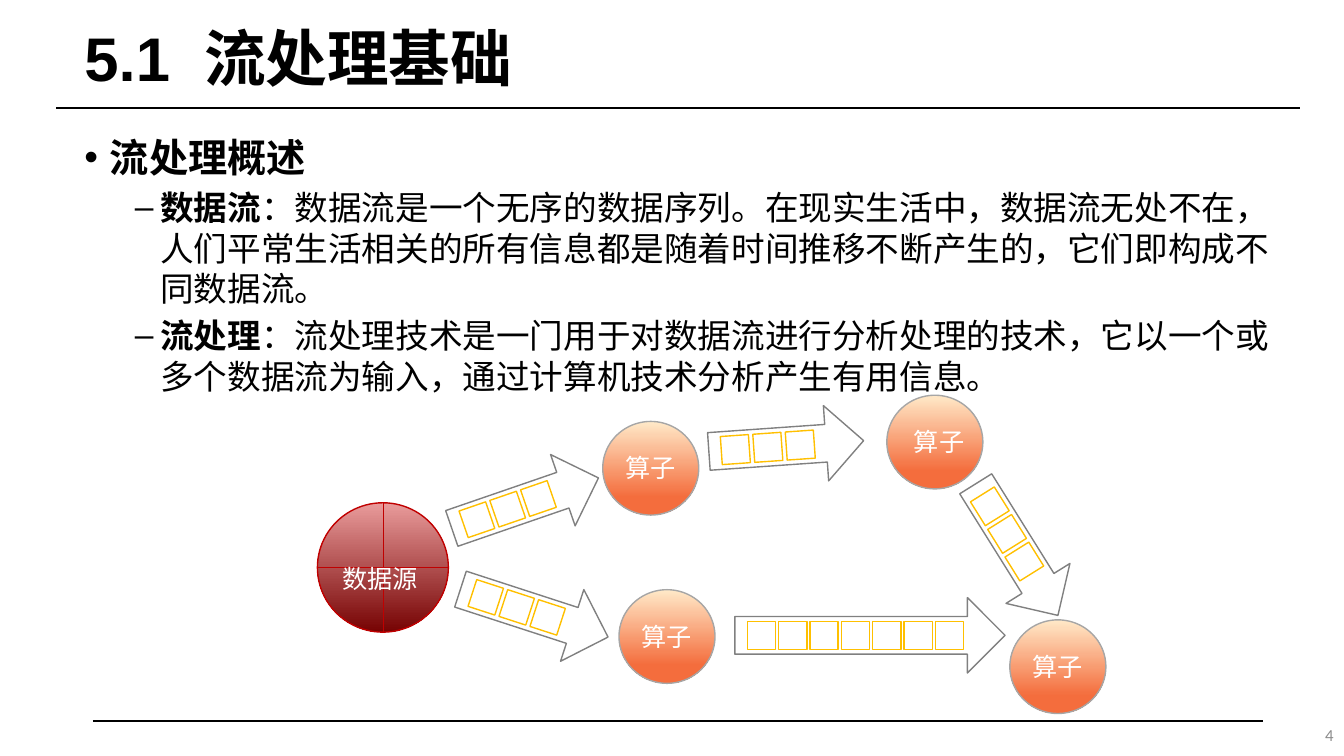
from math import cos, radians, sin

from lxml.etree import SubElement
from pptx import Presentation
from pptx.dml.color import RGBColor
from pptx.enum.shapes import MSO_CONNECTOR, MSO_SHAPE
from pptx.enum.text import MSO_ANCHOR, PP_ALIGN
from pptx.oxml.ns import qn
from pptx.util import Cm, Pt

COLORS = {
    "text": "000000", "label": "FFFFFF", "page": "8C8C8C",
    "arrow": "808080", "cell": "FFC000",
    "source_top": "E99B9B", "source_bottom": "760303", "source_line": "C00000",
    "node_top": "FFE9C8", "node_bottom": "F46D3D", "node_line": "A6A6A6",
}
NODE_W, NODE_H = 2.42, 2.36
ARROW_W, ARROW_H = 3.91, 1.9
CELL, FIRST_CELL = 0.71, 0.67
DEFINITIONS = [
    ("数据流", "：数据流是一个无序的数据序列。在现实生活中，数据流无处不在，"
               "人们平常生活相关的所有信息都是随着时间推移不断产生的，它们即构成不同数据流。"),
    ("流处理", "：流处理技术是一门用于对数据流进行分析处理的技术，"
               "它以一个或多个数据流为输入，通过计算机技术分析产生有用信息。"),
]
# Left, top, label indent
OPERATORS = [(15.19, 10.62, 0.32), (22.35, 9.96, 0.43),
             (25.45, 15.62, 0.32), (15.6, 14.86, 0.32)]
# Left, top, width, rotation, number of cells, cell pitch
STREAMS = [
    (11.28, 11.73, ARROW_W, -19, 3, 0.82),
    (17.86, 10.29, ARROW_W, -4, 3, 0.82),
    (23.67, 12.9, ARROW_W, 58, 3, 0.82),
    (11.51, 14.5, ARROW_W, 18, 3, 0.82),
    (18.52, 15.06, 6.81, 0, 7, 0.79),
]


def color(name):
    return RGBColor.from_string(COLORS[name])


def style_run(run, size, ink="text", face="Calibri", bold=False):
    run.font.size, run.font.bold, run.font.name = Pt(size), bold, face
    run.font.color.rgb = color(ink)
    SubElement(run._r.get_or_add_rPr(), qn("a:ea")).set("typeface", face)


def add_text_frame(slide, left, top, width, height, wrap=True):
    frame = slide.shapes.add_textbox(Cm(left), Cm(top), Cm(width), Cm(height)).text_frame
    frame.word_wrap = wrap
    return frame


def add_label(slide, left, top, words):
    frame = add_text_frame(slide, left, top, 3.43, 1.02)
    frame.text = words
    style_run(frame.paragraphs[0].runs[0], 18, "label")


def add_rule(slide, x1, y1, x2, y2, ink, weight):
    rule = slide.shapes.add_connector(MSO_CONNECTOR.STRAIGHT, Cm(x1), Cm(y1), Cm(x2), Cm(y2))
    rule.line.color.rgb, rule.line.width = color(ink), Pt(weight)
    SubElement(rule._element.spPr, qn("a:effectLst"))


def add_outline(slide, kind, left, top, width, height, ink, angle=0):
    shape = slide.shapes.add_shape(kind, Cm(left), Cm(top), Cm(width), Cm(height))
    shape.shadow.inherit = False
    shape.fill.background()
    shape.line.color.rgb, shape.line.width = color(ink), Pt(1)
    shape.rotation = angle
    return shape


def add_ball(slide, left, top, width, height, role, last_stop):
    ball = add_outline(slide, MSO_SHAPE.OVAL, left, top, width, height, role + "_line")
    ball.fill.gradient()
    ball.fill.gradient_angle = 270
    upper, lower = ball.fill.gradient_stops
    upper.color.rgb, upper.position = color(role + "_top"), 0
    lower.color.rgb, lower.position = color(role + "_bottom"), last_stop


def add_bullet(paragraph, sign, margin):
    props = paragraph._p.get_or_add_pPr()
    props.set("marL", str(Cm(margin)))
    props.set("indent", str(Cm(-0.64)))
    SubElement(props, qn("a:buFont")).set("typeface", "Arial")
    SubElement(props, qn("a:buChar")).set("char", sign)


def add_heading(slide, left, top, width, height):
    frame = add_text_frame(slide, left, top, width, height)
    frame.vertical_anchor = MSO_ANCHOR.MIDDLE
    heading = frame.paragraphs[0]
    heading.line_spacing = 0.9
    for part in ("5.1", " ", "流处理基础"):
        run = heading.add_run()
        run.text = part
        style_run(run, 44, face="Arial", bold=True)
    # Widen the gap after the section number
    heading.runs[1]._r.get_or_add_rPr().set("spc", "1200")


def add_overview(slide, left, top, width, height):
    frame = add_text_frame(slide, left, top, width, height)
    frame.text = "流处理概述"
    topic = frame.paragraphs[0]
    add_bullet(topic, "•", 0.64)
    style_run(topic.runs[0], 28, bold=True)
    for term, meaning in DEFINITIONS:
        definition = frame.add_paragraph()
        definition.level = 1
        definition.space_before = Pt(5)
        add_bullet(definition, "–", 1.91)
        for words, bold in ((term, True), (meaning, False)):
            run = definition.add_run()
            run.text = words
            style_run(run, 24, bold=bold)


def add_source(slide, left, top, width, height):
    add_ball(slide, left, top, width, height, "source", 1)
    mid_x, mid_y = left + width / 2, top + height / 2
    add_rule(slide, left, mid_y, left + width, mid_y, "source_line", 0.5)
    add_rule(slide, mid_x, top, mid_x, top + height, "source_line", 0.5)
    add_label(slide, left + 0.38, top + 1.4, "数据源")


def add_operator(slide, left, top, label_indent):
    add_ball(slide, left, top, NODE_W, NODE_H, "node", 0.81)
    add_label(slide, left + label_indent, top + 0.66, "算子")


def add_stream(slide, left, top, width, angle, count, pitch):
    add_outline(slide, MSO_SHAPE.RIGHT_ARROW, left, top, width, ARROW_H, "arrow", angle)
    mid_x, mid_y = left + width / 2, top + ARROW_H / 2
    for i in range(count):
        # Distance from the arrow's centre along its axis
        along = FIRST_CELL + i * pitch - width / 2
        x = mid_x + along * cos(radians(angle))
        y = mid_y + along * sin(radians(angle))
        add_outline(slide, MSO_SHAPE.RECTANGLE, x - CELL / 2, y - CELL / 2,
                    CELL, CELL, "cell", angle)


def add_page_number(slide, left, top, width, height):
    frame = add_text_frame(slide, left, top, width, height)
    frame.vertical_anchor = MSO_ANCHOR.MIDDLE
    frame.text = "4"
    frame.paragraphs[0].alignment = PP_ALIGN.RIGHT
    style_run(frame.paragraphs[0].runs[0], 12, "page")


def main():
    deck = Presentation()
    deck.slide_width, deck.slide_height = Cm(33.87), Cm(19.05)
    slide = deck.slides.add_slide(deck.slide_layouts[6])

    # Frame lines and text
    add_rule(slide, 1.42, 2.72, 32.77, 2.72, "text", 1.75)
    add_rule(slide, 2.34, 18.16, 31.83, 18.16, "text", 1.25)
    add_heading(slide, 1.88, 0.38, 30.35, 2.34)
    add_overview(slide, 1.88, 3.23, 30.35, 8.03)

    # Stream diagram
    add_source(slide, 8, 12.67, 3.3, 3.26)
    for operator in OPERATORS:
        add_operator(slide, *operator)
    for stream in STREAMS:
        add_stream(slide, *stream)

    add_page_number(slide, 26.24, 18.01, 7.62, 1.02)
    deck.save("out.pptx")


if __name__ == "__main__":
    main()
